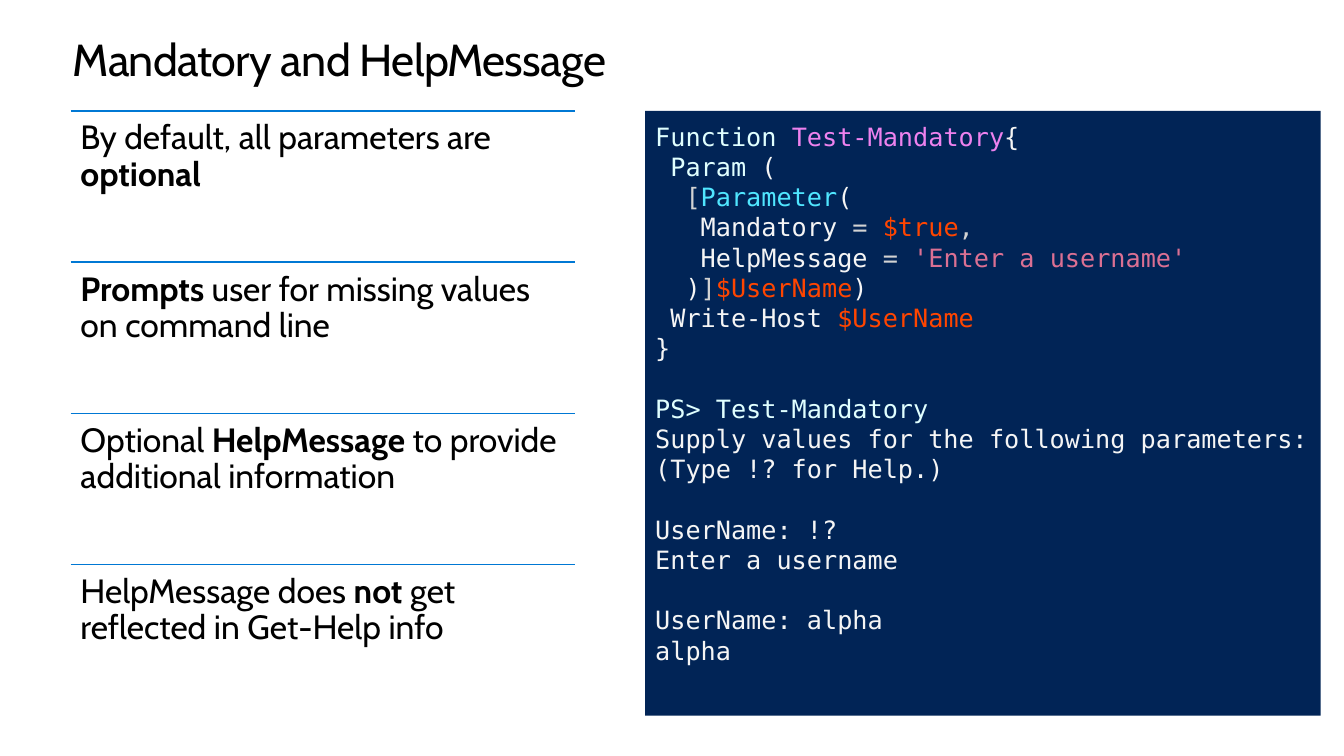
from dataclasses import dataclass

from lxml import etree
from pptx import Presentation
from pptx.dml.color import RGBColor
from pptx.enum.shapes import MSO_CONNECTOR, MSO_SHAPE
from pptx.enum.text import MSO_ANCHOR, MSO_AUTO_SIZE, PP_ALIGN
from pptx.oxml.ns import qn
from pptx.util import Inches, Pt

STRAIGHT = MSO_CONNECTOR.STRAIGHT
RECTANGLE = MSO_SHAPE.RECTANGLE
TOP = MSO_ANCHOR.TOP
LEFT = PP_ALIGN.LEFT
GROW = MSO_AUTO_SIZE.SHAPE_TO_FIT_TEXT


@dataclass(frozen=True)
class Theme:
    text_font: str = "Cabin"
    code_font: str = "DejaVu Sans Mono"
    title_size: float = 32
    point_size: float = 24
    code_size: float = 18
    code_gap: float = 21.6
    title_leading: float = 36.2
    background: str = "FFFFFF"
    text: str = "000000"
    rule: str = "0078D4"
    console: str = "012456"
    keyword: str = "E0FFFF"
    function: str = "EE82EE"
    plain: str = "F5F5F5"
    operator: str = "D3D3D3"
    type_name: str = "50E6FF"
    variable: str = "FF4500"
    string: str = "DB7093"


THEME = Theme()

# Content
TITLE = "Mandatory and HelpMessage"

# Each point is a list of (text, bold)
POINTS = [
    [("By default, all parameters are ", False), ("optional", True)],
    [("Prompts", True), (" user for missing values on command line", False)],
    [("Optional ", False), ("HelpMessage", True),
     (" to provide additional information", False)],
    [("HelpMessage does ", False), ("not", True),
     (" get reflected in Get-Help info", False)],
]

# Blocks of console lines; each line is a list of (text, colour)
CONSOLE_BLOCKS = [
    [
        [("Function ", THEME.keyword), ("Test-Mandatory", THEME.function),
         ("{", THEME.plain)],
        [(" Param", THEME.keyword), (" (", THEME.plain)],
        [("  ", THEME.plain), ("[", THEME.operator),
         ("Parameter", THEME.type_name), ("(", THEME.plain)],
        [("   Mandatory ", THEME.plain), ("= ", THEME.operator),
         ("$true", THEME.variable), (",", THEME.operator)],
        [("   HelpMessage ", THEME.plain), ("= ", THEME.operator),
         ("'Enter a username'", THEME.string)],
        [("  )", THEME.plain), ("]", THEME.operator),
         ("$UserName", THEME.variable), (")", THEME.plain)],
        [(" Write-Host ", THEME.plain), ("$UserName", THEME.variable)],
        [("}", THEME.plain)],
    ],
    [
        [("PS> Test-Mandatory", THEME.keyword)],
        [("Supply values for the following parameters:", THEME.plain)],
        [("(Type !? for Help.)", THEME.plain)],
    ],
    [
        [("UserName: !?", THEME.plain)],
        [("Enter a username", THEME.plain)],
    ],
    [
        [("UserName: alpha", THEME.plain)],
        [("alpha", THEME.plain)],
    ],
]

# Layout in inches
TITLE_BOX = (0.72, 0.35, 11.9, 0.5)
CONSOLE_BOX = (6.4, 1.1, 6.7, 6)
POINTS_LEFT, POINTS_TOP, POINTS_WIDTH, POINT_HEIGHT = 0.7, 1.1, 5, 1.5


def color(value):
    return RGBColor.from_string(value)


def add_run(paragraph, text, font, size, ink, bold=False):
    run = paragraph.add_run()
    run.text = text
    run.font.name = font
    run.font.size = Pt(size)
    run.font.bold = bold
    run.font.color.rgb = color(ink)
    return run


def prepare_frame(shape, inset):
    frame = shape.text_frame
    frame.word_wrap = True
    frame.vertical_anchor = TOP
    frame.margin_left = frame.margin_right = Inches(inset)
    frame.margin_top = frame.margin_bottom = Inches(inset)
    return frame


def add_title(slide):
    title = slide.shapes.title
    title.left, title.top, title.width, title.height = map(Inches, TITLE_BOX)
    title.fill.solid()
    title.fill.fore_color.rgb = color(THEME.background)
    frame = prepare_frame(title, 0)
    frame.auto_size = GROW
    paragraph = frame.paragraphs[0]
    paragraph.alignment = LEFT
    paragraph.line_spacing = Pt(THEME.title_leading)
    run = add_run(paragraph, TITLE, THEME.text_font, THEME.title_size, THEME.text)
    run.font._element.set("spc", "-50")


def add_console(slide):
    console = slide.shapes.add_shape(RECTANGLE, *map(Inches, CONSOLE_BOX))
    console.shadow.inherit = False
    console.fill.solid()
    console.fill.fore_color.rgb = color(THEME.console)
    console.line.fill.background()
    frame = prepare_frame(console, 0.1)
    paragraph = None
    for block in CONSOLE_BLOCKS:
        for index, line in enumerate(block):
            is_first = paragraph is None
            paragraph = frame.paragraphs[0] if is_first else frame.add_paragraph()
            paragraph.alignment = LEFT
            if index == 0 and not is_first:
                paragraph.space_before = Pt(THEME.code_gap)
            for text, ink in line:
                add_run(paragraph, text, THEME.code_font, THEME.code_size, ink)


def add_points(slide):
    group = slide.shapes.add_group_shape()
    left, width = Inches(POINTS_LEFT), Inches(POINTS_WIDTH)
    for index, point in enumerate(POINTS):
        top = Inches(POINTS_TOP + index * POINT_HEIGHT)

        # Divider above the point
        rule = group.shapes.add_connector(STRAIGHT, left, top, left + width, top)
        rule.line.color.rgb = color(THEME.rule)
        rule.line.width = Pt(1)
        etree.SubElement(rule._element.spPr, qn("a:effectLst"))

        # Point text
        box = group.shapes.add_textbox(left, top, width, Inches(POINT_HEIGHT))
        paragraph = prepare_frame(box, 0.1).paragraphs[0]
        paragraph.line_spacing = 0.9
        for text, bold in point:
            add_run(paragraph, text, THEME.text_font, THEME.point_size,
                    THEME.text, bold)


def main():
    presentation = Presentation()
    presentation.slide_width = Inches(13.33)
    presentation.slide_height = Inches(7.5)
    title_only = presentation.slide_layouts[5]
    slide = presentation.slides.add_slide(title_only)
    add_title(slide)
    add_console(slide)
    add_points(slide)
    presentation.save("out.pptx")


if __name__ == "__main__":
    main()
